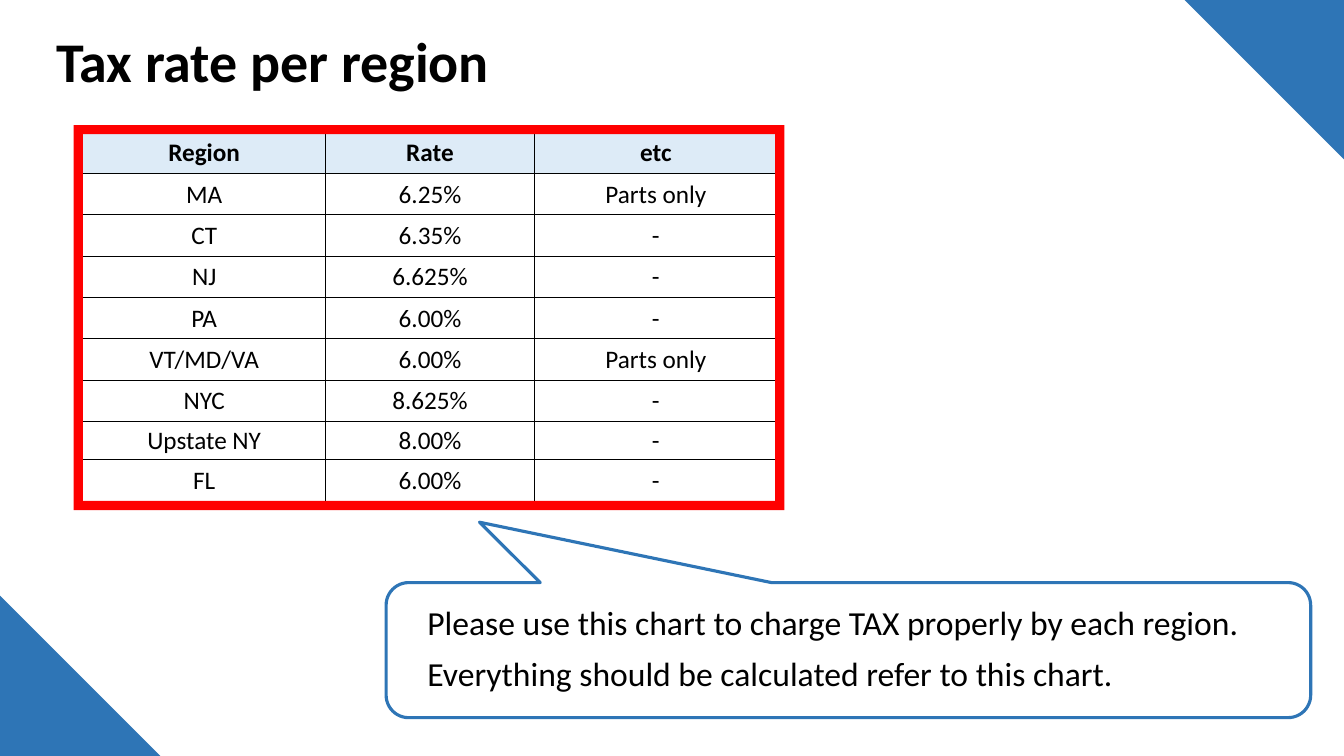
import dataclasses

import lxml.etree
import pptx
import pptx.dml.color
import pptx.enum.shapes
import pptx.enum.text
import pptx.oxml.ns
import pptx.util

Inches = pptx.util.Inches
Pt = pptx.util.Pt
Shape = pptx.enum.shapes.MSO_SHAPE

FONT = "Calibri"
BLACK, WHITE, BLUE, RED, PALE_BLUE = "000000", "FFFFFF", "2E75B6", "FF0000", "DDEBF7"

RATES = [
    ("Region", "Rate", "etc"),
    ("MA", "6.25%", "Parts only"),
    ("CT", "6.35%", "-"),
    ("NJ", "6.625%", "-"),
    ("PA", "6.00%", "-"),
    ("VT/MD/VA", "6.00%", "Parts only"),
    ("NYC", "8.625%", "-"),
    ("Upstate NY", "8.00%", "-"),
    ("FL", "6.00%", "-"),
]
COLUMN_WIDTHS = [2.41, 2.07, 2.41]
ROW_HEIGHTS = [0.41] * 7 + [0.38, 0.41]


@dataclasses.dataclass
class Area:
    left: float
    top: float
    width: float
    height: float

    def lengths(self) -> list[int]:
        return [Inches(value) for value in dataclasses.astuple(self)]


@dataclasses.dataclass
class Figure:
    kind: Shape
    area: Area
    fill: str | None = None
    line: str | None = None
    rotation: float = 0
    adjustments: tuple[float, ...] = ()


@dataclasses.dataclass
class Text:
    area: Area
    lines: list[str]
    size: float
    bold: bool = False
    space_before: float = 0
    anchor: pptx.enum.text.MSO_ANCHOR = pptx.enum.text.MSO_ANCHOR.TOP


TITLE = Text(Area(0.46, 0.26, 10.44, 0.76), ["Tax rate per region"], 40, bold=True,
             anchor=pptx.enum.text.MSO_ANCHOR.MIDDLE)
ADVICE = Text(
    Area(4.14, 5.97, 8.55, 1.4),
    ["Please use this chart to charge TAX properly by each region.",
     "Everything should be calculated refer to this chart."],
    24, space_before=10)
CORNERS = [
    Figure(Shape.RIGHT_TRIANGLE, Area(11.75, 0, 1.59, 1.59), BLUE, rotation=180),
    Figure(Shape.RIGHT_TRIANGLE, Area(0, 5.91, 1.59, 1.59), BLUE),
]
CALLOUT = Figure(Shape.ROUNDED_RECTANGULAR_CALLOUT, Area(3.83, 5.78, 9.17, 1.34),
                 line=BLUE, adjustments=(-0.399, -0.947, 0.167))
TABLE_FRAME = Figure(Shape.FRAME, Area(0.73, 1.24, 7.05, 3.82), RED, adjustments=(0.024,))


def color(code: str) -> pptx.dml.color.RGBColor:
    return pptx.dml.color.RGBColor.from_string(code)


def add_span(para, words: str, size: float, bold: bool) -> None:
    span = para.add_run()
    span.text = words
    span.font.name = FONT
    span.font.size = Pt(size)
    span.font.bold = bold
    span.font.color.rgb = color(BLACK)


def add_text(page, text: Text) -> None:
    frame = page.shapes.add_textbox(*text.area.lengths()).text_frame
    frame.word_wrap = True
    frame.vertical_anchor = text.anchor
    for index, line in enumerate(text.lines):
        para = frame.add_paragraph() if index else frame.paragraphs[0]
        para.line_spacing = 0.9
        para.space_before = Pt(text.space_before)
        add_span(para, line, text.size, text.bold)


def add_figure(page, figure: Figure) -> None:
    shape = page.shapes.add_shape(figure.kind, *figure.area.lengths())
    shape.shadow.inherit = False
    shape.rotation = figure.rotation
    for index, value in enumerate(figure.adjustments):
        shape.adjustments[index] = value
    if figure.fill:
        shape.fill.solid()
        shape.fill.fore_color.rgb = color(figure.fill)
    else:
        shape.fill.background()
    if figure.line:
        shape.line.color.rgb = color(figure.line)
        shape.line.width = Pt(2.25)
    else:
        shape.line.fill.background()


def add_borders(cell) -> None:
    """Draw a thin black line on all four sides; call before filling the cell."""
    qualified = pptx.oxml.ns.qn
    properties = cell._tc.get_or_add_tcPr()
    for side in ("lnL", "lnR", "lnT", "lnB"):
        line = lxml.etree.SubElement(properties, qualified(f"a:{side}"), w=str(Pt(0.5)))
        fill = lxml.etree.SubElement(line, qualified("a:solidFill"))
        lxml.etree.SubElement(fill, qualified("a:srgbClr"), val=BLACK)


def add_rate_table(page) -> None:
    area = Area(0.82, 1.31, sum(COLUMN_WIDTHS), sum(ROW_HEIGHTS))
    table = page.shapes.add_table(len(RATES), len(COLUMN_WIDTHS), *area.lengths()).table
    for column, width in zip(table.columns, COLUMN_WIDTHS):
        column.width = Inches(width)
    for row, height in zip(table.rows, ROW_HEIGHTS):
        row.height = Inches(height)
    for row_index, values in enumerate(RATES):
        is_header = row_index == 0
        for column_index, value in enumerate(values):
            cell = table.cell(row_index, column_index)
            cell.margin_left = cell.margin_right = cell.margin_top = Inches(0.01)
            cell.margin_bottom = 0
            cell.vertical_anchor = pptx.enum.text.MSO_ANCHOR.MIDDLE
            add_borders(cell)
            cell.fill.solid()
            cell.fill.fore_color.rgb = color(PALE_BLUE if is_header else WHITE)
            para = cell.text_frame.paragraphs[0]
            para.alignment = pptx.enum.text.PP_ALIGN.CENTER
            add_span(para, value, 18, is_header)


def main() -> None:
    deck = pptx.Presentation()
    deck.slide_width, deck.slide_height = Inches(13.33), Inches(7.5)
    page = deck.slides.add_slide(deck.slide_layouts[6])
    add_text(page, TITLE)
    for corner in CORNERS:
        add_figure(page, corner)
    add_text(page, ADVICE)
    add_figure(page, CALLOUT)
    add_rate_table(page)
    add_figure(page, TABLE_FRAME)
    deck.save("out.pptx")


if __name__ == "__main__":
    main()
